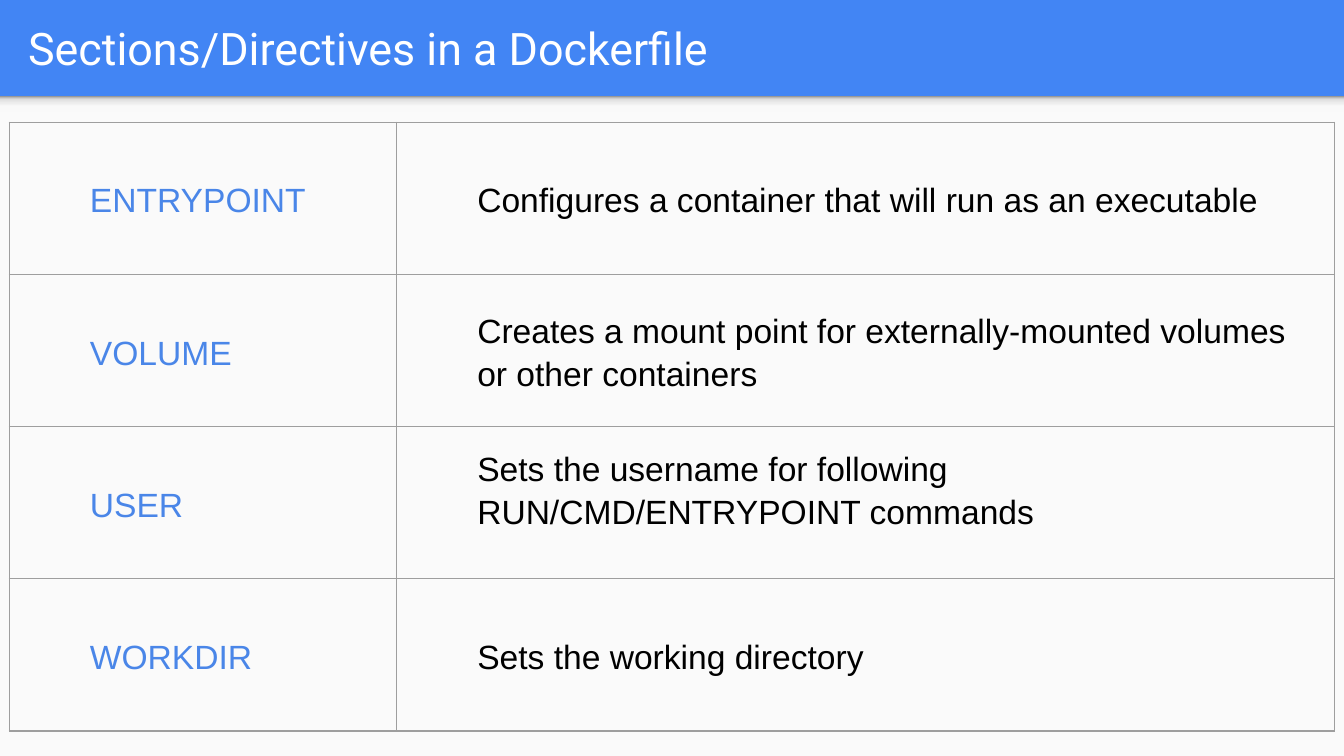
from copy import deepcopy
from dataclasses import dataclass

from lxml import etree
from pptx import Presentation
from pptx.dml.color import RGBColor
from pptx.enum.shapes import MSO_SHAPE
from pptx.enum.text import MSO_ANCHOR
from pptx.oxml.ns import qn
from pptx.shapes.autoshape import Shape
from pptx.slide import Slide
from pptx.table import _Cell
from pptx.text.text import _Paragraph
from pptx.util import Pt

RECTANGLE = MSO_SHAPE.RECTANGLE
MIDDLE = MSO_ANCHOR.MIDDLE


@dataclass(frozen=True)
class Theme:
    header: str = "4285F4"
    body: str = "FAFAFA"
    title: str = "FFFFFF"
    keyword: str = "4A86E8"
    description: str = "000000"
    border: str = "9E9E9E"
    shade: tuple = ((0, "F9F9F9"), (0.36, "F9F9F9"), (0.8, "DEDEDE"), (1, "999999"))
    title_font: str = "Roboto"
    table_font: str = "Arial"
    title_size: int = 24
    table_size: int = 18


@dataclass(frozen=True)
class Directive:
    keyword: str
    description: str
    lift: float = 0


THEME = Theme()
WIDTH, HEIGHT = 720, 405
HEADER_HEIGHT = 51.5
INSET = 7.2
INDENT = 36
COLUMN_WIDTHS = (207.5, 502.5)
ROW_HEIGHT = 81.55
DIRECTIVES = (
    Directive("ENTRYPOINT", "Configures a container that will run as an executable"),
    Directive(
        "VOLUME",
        "Creates a mount point for externally-mounted volumes or other containers",
    ),
    Directive(
        "USER", "Sets the username for following RUN/CMD/ENTRYPOINT commands", lift=15
    ),
    Directive("WORKDIR", "Sets the working directory"),
)


def color(value: str) -> RGBColor:
    return RGBColor.from_string(value)


def write(paragraph: _Paragraph, text: str, font: str, size: int, ink: str) -> None:
    paragraph.text = text
    paragraph.font.name = font
    paragraph.font.size = Pt(size)
    paragraph.font.color.rgb = color(ink)


def add_band(slide: Slide, top: float, height: float) -> Shape:
    band = slide.shapes.add_shape(RECTANGLE, Pt(0), Pt(top), Pt(WIDTH), Pt(height))
    band.shadow.inherit = False
    band.line.fill.background()
    return band


def add_body(slide: Slide) -> None:
    body = add_band(slide, HEADER_HEIGHT, HEIGHT - HEADER_HEIGHT)
    body.fill.solid()
    body.fill.fore_color.rgb = color(THEME.body)


def add_header_shade(slide: Slide) -> None:
    shade = add_band(slide, HEADER_HEIGHT, 8.5)
    shade.fill.gradient()
    shade.fill.gradient_angle = 90
    stop_list = shade.element.spPr.find(".//" + qn("a:gsLst"))
    while len(stop_list) < len(THEME.shade):
        stop_list.append(deepcopy(stop_list[0]))
    for stop, (position, value) in zip(shade.fill.gradient_stops, THEME.shade):
        stop.position = position
        stop.color.rgb = color(value)


def add_title(slide: Slide, text: str) -> None:
    box = slide.shapes.add_textbox(Pt(8), Pt(1.5), Pt(695), Pt(47.5))
    frame = box.text_frame
    frame.word_wrap = True
    frame.vertical_anchor = MIDDLE
    frame.margin_left = frame.margin_right = Pt(INSET)
    frame.margin_top = frame.margin_bottom = Pt(INSET)
    write(frame.paragraphs[0], text, THEME.title_font, THEME.title_size, THEME.title)


def add_borders(cell: _Cell) -> None:
    properties = cell._tc.get_or_add_tcPr()
    for side in ("a:lnL", "a:lnR", "a:lnT", "a:lnB"):
        line = etree.SubElement(properties, qn(side), w=str(Pt(0.75)))
        fill = etree.SubElement(line, qn("a:solidFill"))
        etree.SubElement(fill, qn("a:srgbClr"), val=THEME.border)


def fill_cell(cell: _Cell, text: str, ink: str, lift: float = 0) -> None:
    cell.vertical_anchor = MIDDLE
    cell.margin_left = cell.margin_right = cell.margin_top = Pt(INSET)
    cell.margin_bottom = Pt(INSET + lift)
    add_borders(cell)
    cell.fill.background()
    paragraph = cell.text_frame.paragraphs[0]
    write(paragraph, text, THEME.table_font, THEME.table_size, ink)
    paragraph.line_spacing = 1.15
    indent = paragraph._p.get_or_add_pPr()
    indent.set("marL", str(Pt(INDENT)))
    indent.set("indent", "0")


def add_directive_table(slide: Slide) -> None:
    frame = slide.shapes.add_table(
        len(DIRECTIVES),
        len(COLUMN_WIDTHS),
        Pt(5),
        Pt(65.5),
        Pt(sum(COLUMN_WIDTHS)),
        Pt(ROW_HEIGHT * len(DIRECTIVES)),
    )
    table = frame.table
    table.first_row = table.horz_banding = False
    for column, width in zip(table.columns, COLUMN_WIDTHS):
        column.width = Pt(width)
    for row, directive in zip(table.rows, DIRECTIVES):
        row.height = Pt(ROW_HEIGHT)
        keyword_cell, description_cell = row.cells
        fill_cell(keyword_cell, directive.keyword, THEME.keyword)
        fill_cell(
            description_cell, directive.description, THEME.description, directive.lift
        )


def main() -> None:
    presentation = Presentation()
    presentation.slide_width = Pt(WIDTH)
    presentation.slide_height = Pt(HEIGHT)
    slide = presentation.slides.add_slide(presentation.slide_layouts[6])
    slide.background.fill.solid()
    slide.background.fill.fore_color.rgb = color(THEME.header)
    add_body(slide)
    add_header_shade(slide)
    add_title(slide, "Sections/Directives in a Dockerfile")
    add_directive_table(slide)
    presentation.save("out.pptx")


if __name__ == "__main__":
    main()
